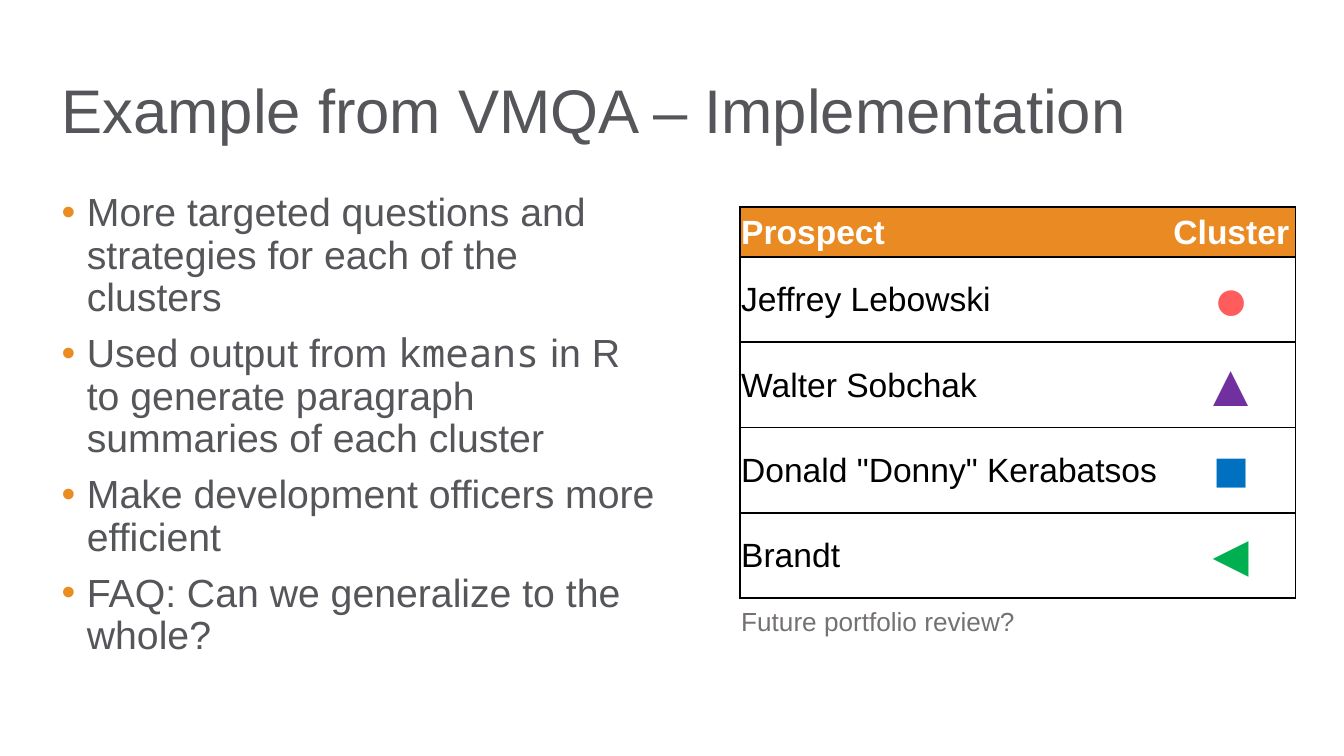
from lxml import etree
from pptx import Presentation
from pptx.dml.color import RGBColor
from pptx.enum import text
from pptx.oxml import ns
from pptx.util import Pt

THEME = {
    "font": "Arial", "code_font": "Noto Sans Mono",
    "ink": "55565A", "bullet": "E98C22", "caption": "767171",
    "header": "EA8A23", "header_ink": "FFFFFF", "cell": "FFFFFF",
    "cell_ink": "000000", "border": "000000",
    "title_size": 33, "body_size": 21, "table_size": 18,
    "symbol_size": 32, "caption_size": 14,
}

TITLE = "Example from VMQA – Implementation"
# Each bullet is a list of (words, is_code)
BULLETS = [
    [("More targeted questions and strategies for each of the clusters", False)],
    [("Used output from ", False), ("kmeans", True),
     (" in R to generate paragraph summaries of each cluster", False)],
    [("Make development officers more efficient", False)],
    [("FAQ: Can we generalize to the whole?", False)],
]
HEADINGS = ("Prospect", "Cluster")
PROSPECTS = [
    ("Jeffrey Lebowski", "●", "FF5D5D"),
    ("Walter Sobchak", "▲", "7030A0"),
    ('Donald "Donny" Kerabatsos', "■", "0070C0"),
    ("Brandt", "◄", "00B050"),
]
CAPTION = "Future portfolio review?"

COLUMN_WIDTHS = (229, 68.7)
HEADER_HEIGHT, ROW_HEIGHT = 26.6, 45.75
TABLE_LEFT, TABLE_TOP = 396.3, 111
TABLE_HEIGHT = HEADER_HEIGHT + ROW_HEIGHT * len(PROSPECTS)


def add_span(para, words, size, color, font=THEME["font"], bold=False):
    span = para.add_run()
    span.text = words
    span.font.name = font
    span.font.size = Pt(size)
    span.font.bold = bold
    span.font.color.rgb = RGBColor.from_string(color)


def add_box(page, left, top, width, height, anchor=text.MSO_ANCHOR.TOP):
    box = page.shapes.add_textbox(Pt(left), Pt(top), Pt(width), Pt(height))
    frame = box.text_frame
    frame.word_wrap = True
    frame.vertical_anchor = anchor
    return frame


def add_bullet(para, indent=13.5):
    """Give the paragraph a coloured bullet with a hanging indent."""
    props = para._p.get_or_add_pPr()
    props.set("marL", str(Pt(indent)))
    props.set("indent", str(-Pt(indent)))
    color = etree.SubElement(props, ns.qn("a:buClr"))
    etree.SubElement(color, ns.qn("a:srgbClr"), val=THEME["bullet"])
    etree.SubElement(props, ns.qn("a:buFont"), typeface=THEME["font"])
    etree.SubElement(props, ns.qn("a:buChar"), char="•")


def add_borders(cell, open_side):
    """Line every side but the open one; borders must come before the fill."""
    props = cell._tc.get_or_add_tcPr()
    for place, side in enumerate("LRTB"):
        line = etree.Element(ns.qn(f"a:ln{side}"), w=str(Pt(1)))
        if side == open_side:
            etree.SubElement(line, ns.qn("a:noFill"))
        else:
            fill = etree.SubElement(line, ns.qn("a:solidFill"))
            etree.SubElement(fill, ns.qn("a:srgbClr"), val=THEME["border"])
        props.insert(place, line)


def fill_cell(cell, column, words, size, color, fill, bold=False):
    cell.margin_left = cell.margin_right = cell.margin_top = Pt(0.75)
    cell.margin_bottom = Pt(0)
    cell.vertical_anchor = text.MSO_ANCHOR.MIDDLE
    cell.fill.solid()
    cell.fill.fore_color.rgb = RGBColor.from_string(fill)
    add_borders(cell, open_side="R" if column == 0 else "L")
    para = cell.text_frame.paragraphs[0]
    para.alignment = text.PP_ALIGN.LEFT if column == 0 else text.PP_ALIGN.CENTER
    add_span(para, words, size, color, bold=bold)


def add_title(page):
    para = add_box(page, 26, 21.6, 668, 78.3, text.MSO_ANCHOR.MIDDLE).paragraphs[0]
    para.line_spacing = 0.9
    add_span(para, TITLE, THEME["title_size"], THEME["ink"])


def add_body(page):
    frame = add_box(page, 26, 99.8, 335, 265)
    for index, parts in enumerate(BULLETS):
        para = frame.add_paragraph() if index else frame.paragraphs[0]
        add_bullet(para)
        para.line_spacing = 0.9
        para.space_before = Pt(7.5 if index else 0)
        for words, is_code in parts:
            font = THEME["code_font" if is_code else "font"]
            add_span(para, words, THEME["body_size"], THEME["ink"], font)


def add_prospect_table(page):
    table = page.shapes.add_table(
        len(PROSPECTS) + 1, len(HEADINGS), Pt(TABLE_LEFT), Pt(TABLE_TOP),
        Pt(sum(COLUMN_WIDTHS)), Pt(TABLE_HEIGHT)).table
    for column, width in zip(table.columns, COLUMN_WIDTHS):
        column.width = Pt(width)
    for index, row in enumerate(table.rows):
        row.height = Pt(ROW_HEIGHT if index else HEADER_HEIGHT)
    for column, heading in enumerate(HEADINGS):
        fill_cell(table.cell(0, column), column, heading, THEME["table_size"],
                  THEME["header_ink"], THEME["header"], bold=True)
    for row, (name, symbol, color) in enumerate(PROSPECTS, start=1):
        fill_cell(table.cell(row, 0), 0, name, THEME["table_size"],
                  THEME["cell_ink"], THEME["cell"])
        fill_cell(table.cell(row, 1), 1, symbol, THEME["symbol_size"],
                  color, THEME["cell"])


def add_caption(page):
    frame = add_box(page, 390, TABLE_TOP + TABLE_HEIGHT, 288, 24.2)
    add_span(frame.paragraphs[0], CAPTION, THEME["caption_size"], THEME["caption"])


def main():
    deck = Presentation()
    deck.slide_width, deck.slide_height = Pt(720), Pt(405)
    page = deck.slides.add_slide(deck.slide_layouts[6])
    add_title(page)
    add_body(page)
    add_caption(page)
    add_prospect_table(page)
    deck.save("out.pptx")


if __name__ == "__main__":
    main()
